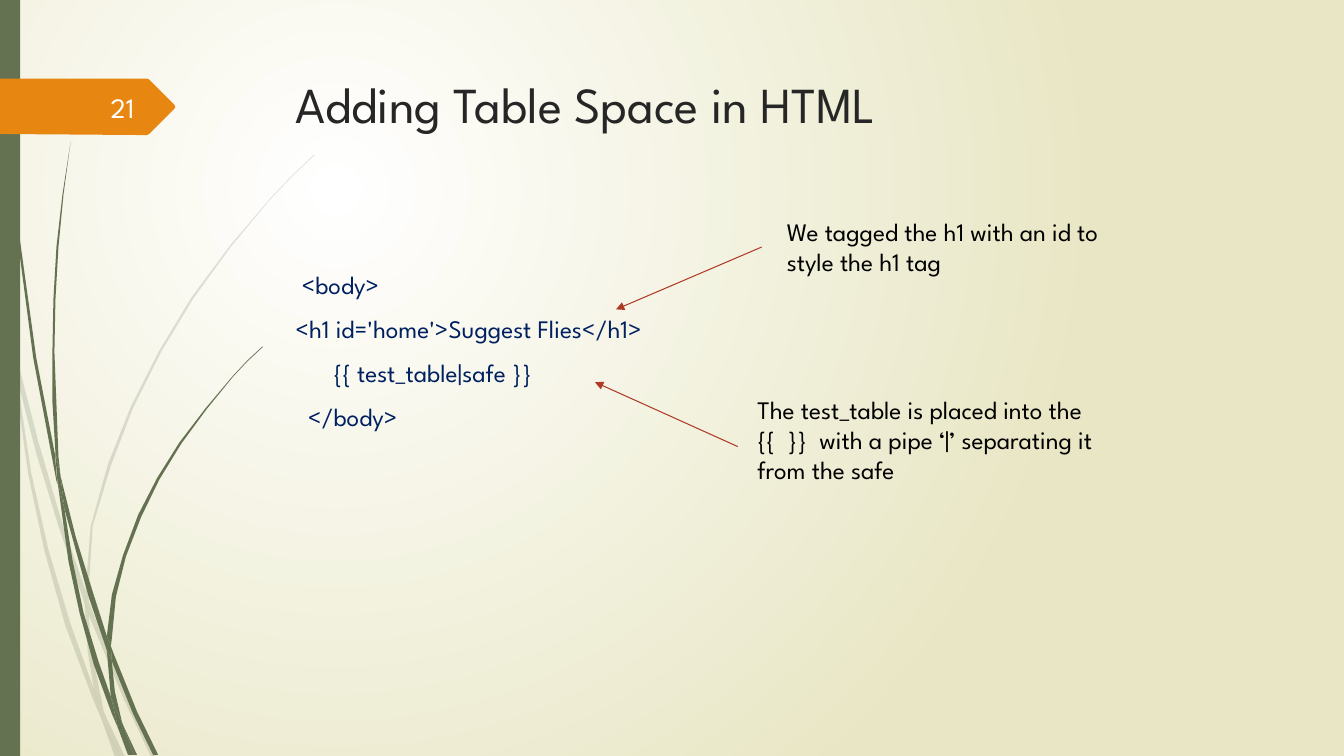
import pptx
import pptx.dml.color
import pptx.enum.shapes
import pptx.enum.text
import pptx.oxml
import pptx.oxml.ns
import pptx.util

Pt = pptx.util.Pt
SHAPE = pptx.enum.shapes.MSO_SHAPE
ALIGN = pptx.enum.text.PP_ALIGN
ANCHOR = pptx.enum.text.MSO_ANCHOR
FONT = "League Spartan"
GRID = 0.72  # points per unit of the outlines below
SPACE = 4.5  # points per column of code indent

COLORS = {
    "white": "FFFFFF", "sand": "E8E6C4", "green": "647252", "orange": "E78712",
    "title": "262626", "code": "002060", "note": "000000", "number": "FEFFFF",
    "arrow": "AF3924",
}

# Grass outlines: x, y pairs on the grid
PALE_GRASS = [
    (11, 350, 9, 322, 0, 282, 0, 299, 10, 344),
    (58, 522, 84, 599, 85, 586, 62, 520, 38, 438, 14, 345, 17, 376, 36, 450),
    (92, 607, 88, 596, 88, 610, 123, 694, 150, 751, 155, 751, 127, 692),
    (119, 751, 124, 751, 105, 711),
    (93, 683, 70, 619, 48, 545, 31, 469, 17, 376, 11, 350, 28, 470, 44, 546,
     65, 621, 92, 693, 101, 714, 99, 707),
    (84, 599, 87, 646, 93, 683, 96, 692, 105, 711, 103, 706, 91, 646, 88, 610,
     88, 608),
    (88, 584, 92, 522, 110, 462, 132, 405, 160, 349, 192, 296, 229, 245,
     268, 198, 290, 175, 312, 154, 312, 153, 289, 175, 268, 197, 228, 244,
     190, 295, 158, 348, 130, 403, 107, 461, 90, 522, 85, 584, 85, 586, 88, 596),
    (101, 714, 114, 751, 119, 751),
    (88, 608, 88, 610, 88, 596, 85, 586, 84, 599),
    (96, 692, 93, 683, 99, 707, 101, 714, 119, 751, 105, 711),
]
DARK_GRASS = [
    (7, 110, 17, 233, 33, 355, 56, 477, 57, 481, 55, 457, 55, 453, 36, 355,
     19, 232, 8, 109, 5, 48, 4, 0, 3, 0, 4, 48),
    (88, 592, 106, 645, 106, 631, 93, 590, 75, 532, 60, 472, 64, 505),
    (113, 649, 110, 641, 111, 656, 132, 708, 152, 749, 157, 749, 136, 706),
    (110, 691, 98, 657, 83, 608, 72, 556, 64, 505, 57, 477, 68, 557, 79, 608,
     93, 659, 111, 708, 117, 722, 116, 717),
    (60, 472, 58, 453, 54, 349, 55, 297, 58, 245, 63, 193, 70, 141, 62, 193,
     56, 245, 53, 297, 52, 349, 52, 399, 55, 449),
    (133, 749, 136, 749, 122, 719),
    (57, 477, 64, 505, 60, 472, 55, 449, 55, 453),
    (111, 633, 115, 592, 125, 552, 140, 513, 158, 476, 180, 440, 205, 406,
     231, 374, 245, 359, 261, 344, 260, 344, 245, 358, 231, 373, 204, 405,
     178, 439, 156, 474, 137, 511, 122, 551, 111, 590, 106, 631, 110, 641),
    (117, 722, 127, 749, 131, 749),
    (106, 645, 110, 691, 116, 706, 122, 719, 121, 716, 114, 686, 111, 656,
     109, 651),
    (106, 645, 109, 651, 111, 656, 110, 641, 106, 631, 106, 633),
    (116, 706, 110, 691, 116, 717, 117, 722, 130, 749, 133, 749, 122, 719),
]
NUMBER_TAG = (173, 108, 148, 133, 146, 134, 136, 134, 0, 133, 0, 78, 136, 78,
              146, 78, 148, 79, 173, 104, 174, 106)


def rgb(name):
    return pptx.dml.color.RGBColor.from_string(COLORS[name])


def sub(parent, tag, **attrs):
    el = pptx.oxml.parse_xml(f"<{tag} {pptx.oxml.ns.nsdecls('a')}/>")
    for key, value in attrs.items():
        el.set(key, str(value))
    parent.append(el)
    return el


def add_background(s):
    fill = s.background.fill
    fill.gradient()
    for stop, position, color in zip(fill.gradient_stops, (0, 1), ("white", "sand")):
        stop.position = position
        stop.color.rgb = rgb(color)
    grad = s._element.xpath(".//p:bg//a:gradFill")[0]
    for lin in grad.xpath("a:lin"):
        grad.remove(lin)
    circle = sub(grad, "a:path", path="circle")
    sub(circle, "a:fillToRect", l=50000, t=50000, r=100000, b=100000)


def paint(sp, color, opacity=100):
    sp.shadow.inherit = False
    sp.fill.solid()
    sp.fill.fore_color.rgb = rgb(color)
    sp.line.fill.background()
    if opacity < 100:
        clr = sp._element.spPr.xpath("a:solidFill/a:srgbClr")[0]
        sub(clr, "a:alpha", val=opacity * 1000)


def add_outline(s, coords, color, opacity=100):
    points = list(zip(coords[::2], coords[1::2]))
    builder = s.shapes.build_freeform(*points[0], scale=Pt(GRID))
    builder.add_line_segments(points[1:], close=True)
    paint(builder.convert_to_shape(), color, opacity)


def add_text(s, text, x, y, w, h, size=18, color="note", align=ALIGN.LEFT,
             anchor=ANCHOR.TOP, before=0, indents=()):
    tf = s.shapes.add_textbox(Pt(x), Pt(y), Pt(w), Pt(h)).text_frame
    tf.word_wrap = True
    tf.vertical_anchor = anchor
    for i, line in enumerate(text.split("\n")):
        p = tf.add_paragraph() if i else tf.paragraphs[0]
        p.alignment = align
        p.space_before = Pt(before)
        if indents:
            p._p.get_or_add_pPr().set("marL", str(Pt(indents[i])))
        r = p.add_run()
        r.text = line
        r.font.name = FONT
        r.font.size = Pt(size)
        r.font.color.rgb = rgb(color)


def add_arrow(s, x1, y1, x2, y2):
    kind = pptx.enum.shapes.MSO_CONNECTOR.STRAIGHT
    c = s.shapes.add_connector(kind, Pt(x1), Pt(y1), Pt(x2), Pt(y2))
    c.line.color.rgb = rgb("arrow")
    c.line.width = Pt(0.75)
    sub(c.line._get_or_add_ln(), "a:tailEnd", type="triangle")
    sub(c._element.spPr, "a:effectLst")


def main():
    prs = pptx.Presentation()
    prs.slide_width, prs.slide_height = Pt(960), Pt(540)
    s = prs.slides.add_slide(prs.slide_layouts[6])
    add_background(s)

    # Grass, side bar and number tag
    for coords in PALE_GRASS:
        add_outline(s, coords, "green", opacity=20)
    for coords in DARK_GRASS:
        add_outline(s, coords, "green")
    bar = s.shapes.add_shape(SHAPE.RECTANGLE, 0, 0, Pt(14.4), Pt(540))
    paint(bar, "green")
    add_outline(s, NUMBER_TAG, "orange")

    # Title, code and slide number
    add_text(s, "Adding Table Space in HTML", 204, 49, 702, 101, size=36, color="title")
    code = "<body>\n<h1 id='home'>Suggest Flies</h1>\n{{ test_table|safe }}\n</body>"
    add_text(s, code, 204, 188.6, 702, 297, color="code", before=10,
             indents=[SPACE * n for n in (1, 0, 6, 2)])
    add_text(s, "21", 42, 62, 61, 29, size=20, color="number",
             align=ALIGN.RIGHT, anchor=ANCHOR.MIDDLE)

    # Notes with arrows to the code
    add_text(s, "The test_table is placed into the {{  }}  with a pipe ‘|’ "
             "separating it from the safe", 534, 278, 255, 94)
    add_arrow(s, 527, 319, 425, 273)
    add_text(s, "We tagged the h1 with an id to style the h1 tag", 555, 151, 245.5, 51)
    add_arrow(s, 544, 176.5, 440, 221)

    prs.save("out.pptx")


main()
